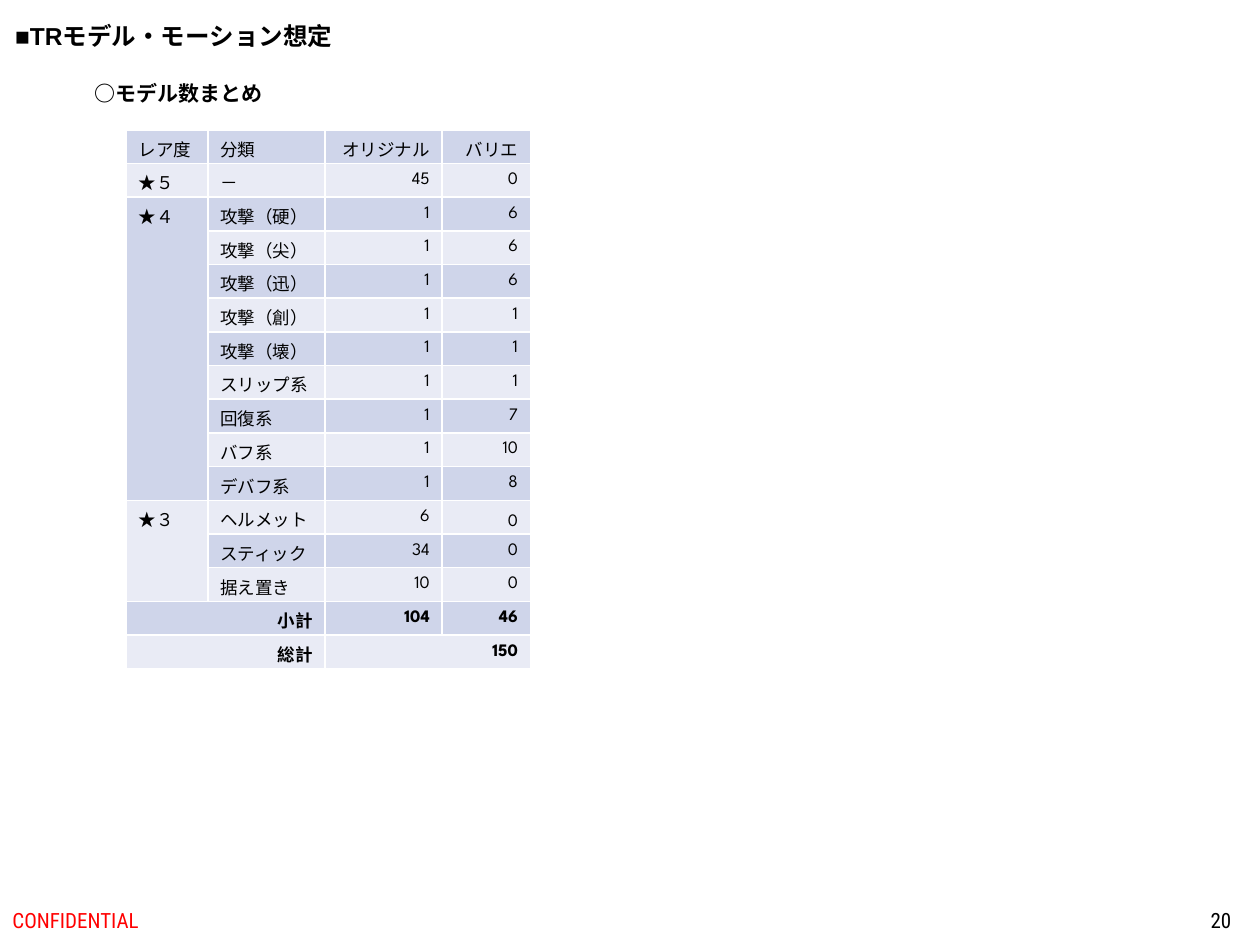
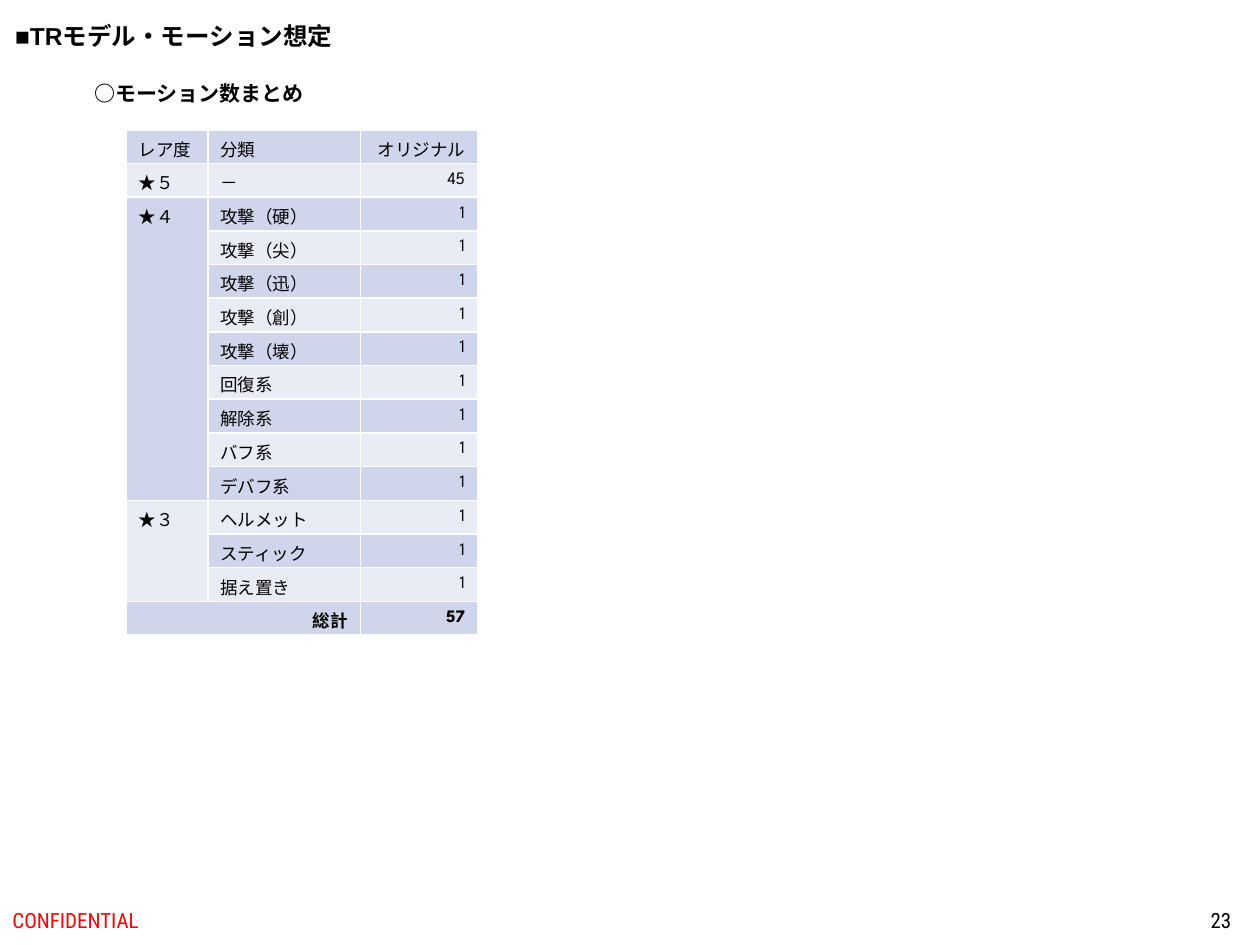
from dataclasses import dataclass

from pptx import Presentation
from pptx.dml.color import RGBColor
from pptx.enum.text import MSO_ANCHOR as Anchor
from pptx.enum.text import MSO_AUTO_SIZE as AutoSize
from pptx.enum.text import PP_ALIGN as Align
from pptx.util import Inches, Pt

TITLE = "■TRモデル・モーション想定"
CONFIDENTIAL = "CONFIDENTIAL"

SUMMARIES = [
    {
        "page": "20",
        "subtitle": "○モデル数まとめ",
        "subtitle_width": 1.55,
        "columns": [("レア度", 0.65), ("分類", 0.93), ("オリジナル", 0.93), ("バリエ", 0.7)],
        "groups": [
            ("★５", [("－", "45", "0")]),
            ("★４", [
                ("攻撃（硬）", "1", "6"),
                ("攻撃（尖）", "1", "6"),
                ("攻撃（迅）", "1", "6"),
                ("攻撃（創）", "1", "1"),
                ("攻撃（壊）", "1", "1"),
                ("スリップ系", "1", "1"),
                ("回復系", "1", "7"),
                ("バフ系", "1", "10"),
                ("デバフ系", "1", "8"),
            ]),
            ("★３", [
                ("ヘルメット", "6", "　0"),
                ("スティック", "34", "0"),
                ("据え置き", "10", "0"),
            ]),
        ],
        "totals": [("小計", ["104", "46"]), ("総計", ["150"])],
    },
    {
        "page": "23",
        "subtitle": "○モーション数まとめ",
        "subtitle_width": 1.88,
        "columns": [("レア度", 0.65), ("分類", 1.21), ("オリジナル", 0.93)],
        "groups": [
            ("★５", [("－", "45")]),
            ("★４", [
                ("攻撃（硬）", "1"),
                ("攻撃（尖）", "1"),
                ("攻撃（迅）", "1"),
                ("攻撃（創）", "1"),
                ("攻撃（壊）", "1"),
                ("回復系", "1"),
                ("解除系", "1"),
                ("バフ系", "1"),
                ("デバフ系", "1"),
            ]),
            ("★３", [
                ("ヘルメット", "1"),
                ("スティック", "1"),
                ("据え置き", "1"),
            ]),
        ],
        "totals": [("総計", ["57"])],
    },
]


@dataclass(frozen=True)
class Theme:
    text: RGBColor = RGBColor(0x00, 0x00, 0x00)
    warning: RGBColor = RGBColor(0xFF, 0x00, 0x00)
    bands: tuple = (RGBColor(0xCF, 0xD5, 0xEA), RGBColor(0xE9, 0xEB, 0xF5))
    title_font: str = "Arial"
    body_font: str = "League Spartan"
    footer_font: str = "Roboto Condensed"
    title_size: Pt = Pt(14)
    label_size: Pt = Pt(12)
    table_size: Pt = Pt(10)


THEME = Theme()
TITLE_ONLY = 5
TABLE_LEFT, TABLE_TOP = 1, 1.03
ROW_HEIGHT = Inches(4 / 15)
FIRST_VALUE_COLUMN = 2


def write(text_frame, text, name, size, color=THEME.text, bold=False, align=Align.LEFT):
    text_frame.text = text
    paragraph = text_frame.paragraphs[0]
    paragraph.alignment = align
    font = paragraph.font
    font.name, font.size, font.bold = name, size, bold
    font.color.rgb = color


def place(shape, left, top, width, height):
    shape.left, shape.top = Inches(left), Inches(top)
    shape.width, shape.height = Inches(width), Inches(height)


def fit_to_text(text_frame):
    text_frame.word_wrap = False
    text_frame.auto_size = AutoSize.SHAPE_TO_FIT_TEXT
    text_frame.vertical_anchor = Anchor.TOP


def add_title(slide):
    title = slide.shapes.title
    place(title, 0.02, 0.12, 2.84, 0.34)
    write(title.text_frame, TITLE, THEME.title_font, THEME.title_size, bold=True)
    fit_to_text(title.text_frame)


def add_subtitle(slide, text, width):
    box = slide.shapes.add_textbox(Inches(0.65), Inches(0.59), Inches(width), Inches(0.3))
    write(box.text_frame, text, THEME.body_font, THEME.label_size, bold=True)
    fit_to_text(box.text_frame)


def add_footer(slide, page):
    for text, left, width, color, align in (
        (CONFIDENTIAL, 0, 3.38, THEME.warning, Align.LEFT),
        (page, 7.62, 2.25, THEME.text, Align.RIGHT),
    ):
        box = slide.shapes.add_textbox(Inches(left), Inches(7.1), Inches(width), Inches(0.4))
        box.text_frame.word_wrap = True
        box.text_frame.vertical_anchor = Anchor.MIDDLE
        write(box.text_frame, text, THEME.footer_font, THEME.label_size, color, align=align)


def fill_cell(table, row, column, text, bold=False, anchor=Anchor.MIDDLE):
    cell = table.cell(row, column)
    cell.vertical_anchor = anchor
    align = Align.RIGHT if bold or column >= FIRST_VALUE_COLUMN else Align.LEFT
    write(cell.text_frame, text, THEME.body_font, THEME.table_size, bold=bold, align=align)


def merge(table, first, last):
    if first != last:
        table.cell(*first).merge(table.cell(*last))


def add_summary_table(slide, columns, groups, totals):
    row_count = 1 + sum(len(entries) for _, entries in groups) + len(totals)
    width = sum(column_width for _, column_width in columns)
    table = slide.shapes.add_table(
        row_count, len(columns), Inches(TABLE_LEFT), Inches(TABLE_TOP),
        Inches(width), ROW_HEIGHT * row_count,
    ).table
    table.first_row = False

    for index, table_row in enumerate(table.rows):
        table_row.height = ROW_HEIGHT
        for cell in table_row.cells:
            cell.fill.solid()
            cell.fill.fore_color.rgb = THEME.bands[index % 2]
            cell.text_frame.paragraphs[0].font.size = THEME.table_size

    for column, (heading, column_width) in enumerate(columns):
        table.columns[column].width = Inches(column_width)
        fill_cell(table, 0, column, heading)

    row = 1
    for rarity, entries in groups:
        anchor = Anchor.TOP if len(entries) > 1 else Anchor.MIDDLE
        fill_cell(table, row, 0, rarity, anchor=anchor)
        merge(table, (row, 0), (row + len(entries) - 1, 0))
        for entry in entries:
            for column, text in enumerate(entry, start=1):
                fill_cell(table, row, column, text)
            row += 1

    last_column = len(columns) - 1
    for label, values in totals:
        fill_cell(table, row, 0, label, bold=True, anchor=Anchor.TOP)
        merge(table, (row, 0), (row, FIRST_VALUE_COLUMN - 1))
        for column, value in enumerate(values, start=FIRST_VALUE_COLUMN):
            fill_cell(table, row, column, value, bold=True)
        merge(table, (row, FIRST_VALUE_COLUMN + len(values) - 1), (row, last_column))
        row += 1


def main():
    presentation = Presentation()
    presentation.slide_width, presentation.slide_height = Inches(10), Inches(7.5)
    for summary in SUMMARIES:
        slide = presentation.slides.add_slide(presentation.slide_layouts[TITLE_ONLY])
        add_title(slide)
        add_footer(slide, summary["page"])
        add_subtitle(slide, summary["subtitle"], summary["subtitle_width"])
        add_summary_table(slide, summary["columns"], summary["groups"], summary["totals"])
    presentation.save("out.pptx")


if __name__ == "__main__":
    main()
